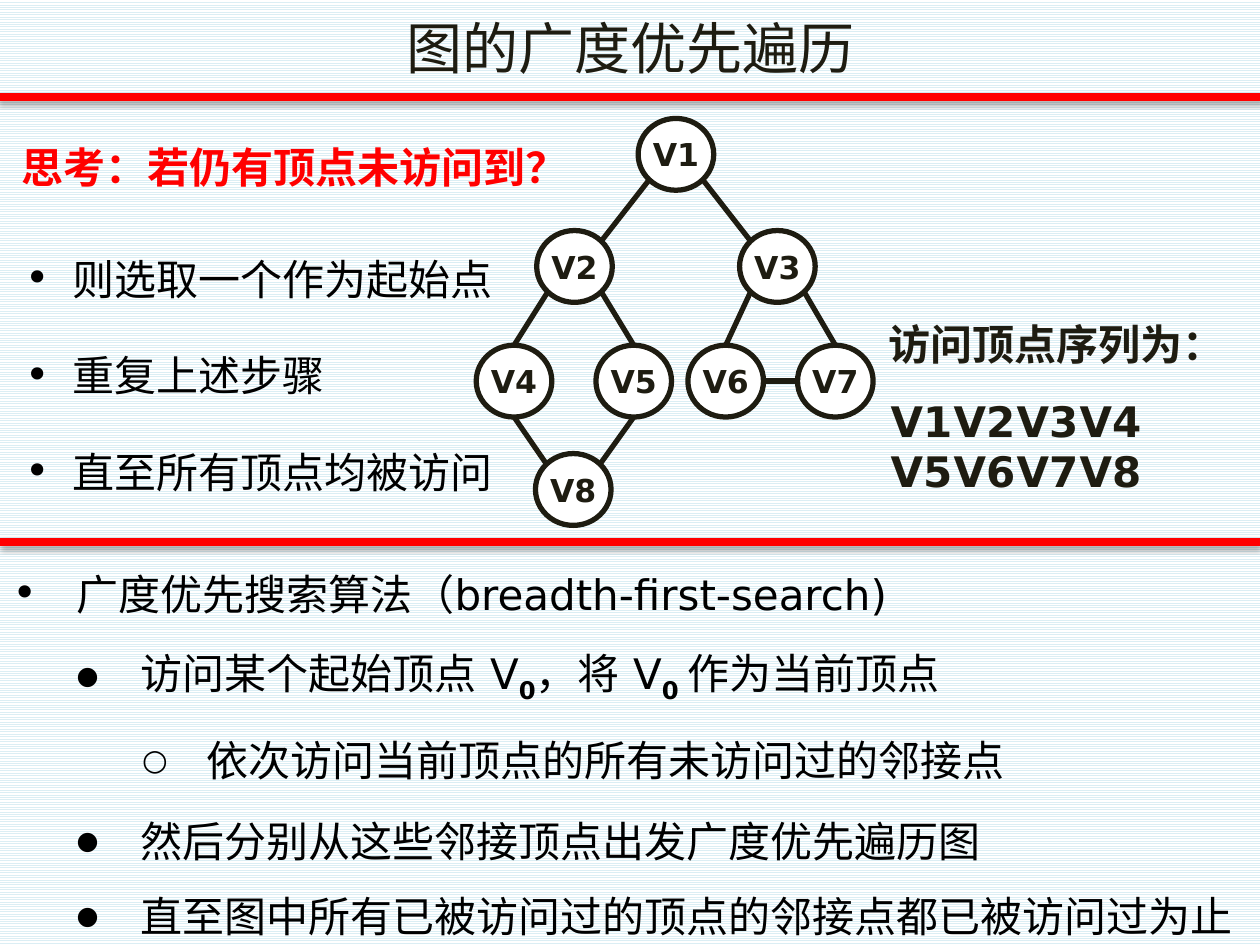
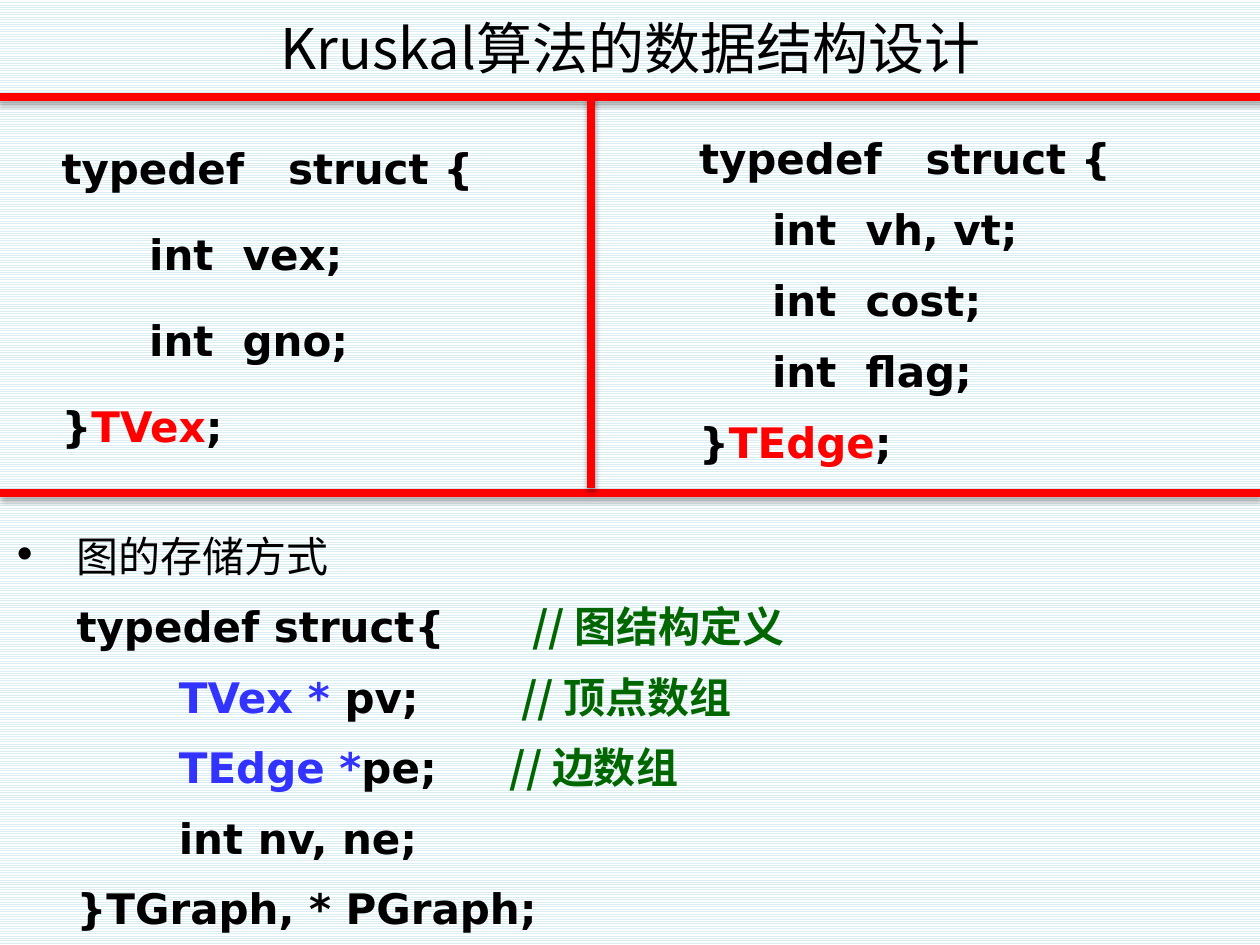
from lxml import etree
from pptx import Presentation
from pptx.dml.color import RGBColor
from pptx.enum import dml, shapes, text
from pptx.oxml import ns
from pptx.util import Emu, Inches, Pt

COLOURS = {
    "ink": "1E1C11", "black": "000000", "white": "FFFFFF", "red": "FF0000",
    "green": "006600", "blue": "3333FF", "stripe": "DBEEF4",
}
LATIN, HAN = "DejaVu Sans", "Noto Sans CJK SC"
COLUMNS, ROWS = 100, 75  # grid cells of a tenth of an inch


def rgb(name):
    return RGBColor.from_string(COLOURS[name])


def child(parent, tag, **attributes):
    return etree.SubElement(parent, ns.qn("a:" + tag), attributes)


def add_span(para, words, size=24, font=LATIN, colour="black", bold=False, baseline=None):
    """Add one run of formatted text to a paragraph."""
    span = para.add_run()
    span.text = words
    span.font.size, span.font.bold, span.font.name = Pt(size), bold, font
    span.font.color.rgb = rgb(colour)
    properties = span.font._element
    if baseline:
        properties.set("baseline", str(baseline * 1000))
    child(properties, "ea", typeface=font)
    child(properties, "cs", typeface=font)


def set_bullet(para, mark, percent, font=LATIN):
    properties = para._p.get_or_add_pPr()
    etree.SubElement(child(properties, "buClr"), ns.qn("a:srgbClr"), val=COLOURS["black"])
    child(properties, "buSzPct", val=str(percent * 1000))
    child(properties, "buFont", typeface=font)
    child(properties, "buChar", char=mark)


class Lecture:
    """Holds the shared style and the page being built."""

    def __init__(self):
        self.deck = Presentation()
        self.deck.slide_width, self.deck.slide_height = Inches(10), Inches(7.5)
        self.page = None

    def x(self, columns):
        return Emu(round(self.deck.slide_width * columns / COLUMNS))

    def y(self, rows):
        return Emu(round(self.deck.slide_height * rows / ROWS))

    def area(self, left, top, width, height):
        return self.x(left), self.y(top), self.x(width), self.y(height)

    def new_page(self, title, colour):
        self.page = self.deck.slides.add_slide(self.deck.slide_layouts[6])
        fill = self.page.background.fill
        fill.patterned()
        fill.pattern = dml.MSO_PATTERN.LIGHT_HORIZONTAL
        fill.fore_color.rgb, fill.back_color.rgb = rgb("stripe"), rgb("white")
        self.rule((-0.1, 7.7), (100.1, 7.7))
        box = self.text((0, 0.5, 100.1, 6.5), [title], size=32, font=HAN,
                        colour=colour, align="CENTER")
        box.text_frame.vertical_anchor = text.MSO_ANCHOR.MIDDLE

    def line(self, start, end, colour, width):
        connector = self.page.shapes.add_connector(
            shapes.MSO_CONNECTOR.STRAIGHT,
            self.x(start[0]), self.y(start[1]), self.x(end[0]), self.y(end[1]))
        connector.line.color.rgb, connector.line.width = rgb(colour), Pt(width)
        return child(connector._element.spPr, "effectLst")

    def rule(self, start, end):
        """Red divider with a soft shadow below it."""
        effects = self.line(start, end, "red", 4.5)
        shadow = child(effects, "outerShdw", blurRad=str(Pt(3.1)), dist=str(Pt(1.8)),
                       dir="5400000", rotWithShape="0")
        child(child(shadow, "srgbClr", val=COLOURS["black"]), "alpha", val="35000")

    def text(self, area, paragraphs, wrap=True, tabs=(), **style):
        box = self.page.shapes.add_textbox(*self.area(*area))
        box.text_frame.word_wrap = wrap
        for number, content in enumerate(paragraphs):
            self.paragraph(box.text_frame, number, content, tabs=tabs, **style)
        return box

    def paragraph(self, frame, number, content, align="LEFT", spacing=None, before=0,
                  left=0, hanging=0, bullet=None, percent=100, tabs=(), **style):
        """Write a string, or a list of strings and (string, format) pairs."""
        para = frame.add_paragraph() if number else frame.paragraphs[0]
        para.alignment = getattr(text.PP_ALIGN, align)
        if spacing:
            para.line_spacing = spacing
        if before and number:
            para.space_before = Pt(before)
        properties = para._p.get_or_add_pPr()
        properties.set("marL", str(self.x(left)))
        properties.set("indent", str(-self.x(hanging)))
        if bullet:
            set_bullet(para, bullet, percent)
        if tabs:
            stops = child(properties, "tabLst")
            for stop in tabs:
                child(stops, "tab", pos=str(self.x(stop)), algn="l")
        for piece in [content] if isinstance(content, str) else content:
            words, extra = (piece, {}) if isinstance(piece, str) else piece
            add_span(para, words, **{**style, **extra})

    def vertex(self, name, centre):
        oval = self.page.shapes.add_shape(
            shapes.MSO_SHAPE.OVAL,
            *self.area(centre[0] - 3, centre[1] - 2.85, 6, 5.7))
        oval.shadow.inherit = False
        oval.fill.solid()
        oval.fill.fore_color.rgb = rgb("white")
        oval.line.color.rgb, oval.line.width = rgb("ink"), Pt(3)
        frame = oval.text_frame
        frame.margin_left = frame.margin_right = frame.margin_top = frame.margin_bottom = 0
        frame.word_wrap = False
        frame.vertical_anchor = text.MSO_ANCHOR.MIDDLE
        self.paragraph(frame, 0, name, align="CENTER", size=18, colour="ink", bold=True)


# Vertex centres in grid cells, and edges between points on the ovals' rims
VERTICES = {
    "V1": (53.65, 12.25), "V2": (45.6, 21.15), "V3": (61.7, 21.15),
    "V4": (40.8, 30.25), "V5": (50.3, 30.25), "V6": (57.6, 30.25),
    "V7": (66.3, 30.25), "V8": (45.5, 38.85),
}
RIM = {
    "top": (0, -1), "bottom": (0, 1), "left": (-1, 0), "right": (1, 0),
    "top left": (-0.71, -0.71), "top right": (0.71, -0.71),
    "bottom left": (-0.71, 0.71), "bottom right": (0.71, 0.71),
}
EDGES = [
    ("V1", "bottom left", "V2", "top right"), ("V1", "bottom right", "V3", "top left"),
    ("V2", "bottom left", "V4", "top"), ("V2", "bottom right", "V5", "top"),
    ("V3", "bottom left", "V6", "top"), ("V3", "bottom right", "V7", "top"),
    ("V4", "bottom", "V8", "top left"), ("V5", "bottom", "V8", "top right"),
    ("V6", "right", "V7", "left"),
]


def rim_point(vertex, side):
    (column, row), (across, down) = VERTICES[vertex], RIM[side]
    return column + 3 * across, row + 2.85 * down


def build_traversal(lecture):
    lecture.new_page("图的广度优先遍历", "ink")

    # Visiting order
    lecture.text((69.5, 24.8, 28.7, 5), ["访问顶点序列为："], colour="ink", bold=True)
    lecture.text((69.7, 30.9, 29.9, 9.3), ["V1\tV2\tV3\tV4", "V5\tV6\tV7\tV8"],
                 tabs=[7.22 * step for step in (1, 2, 3)], colour="ink", bold=True)

    # Graph
    for name, centre in VERTICES.items():
        lecture.vertex(name, centre)
    for start, start_side, end, end_side in EDGES:
        lecture.line(rim_point(start, start_side), rim_point(end, end_side), "ink", 3)

    # Algorithm outline
    first = dict(left=5.1, bullet="•", spacing=1.4)
    second = dict(left=10.2, bullet="●", percent=60)
    third = dict(left=15.4, bullet="○", percent=70, spacing=1.6)
    zero = dict(bold=True, baseline=-25)
    outline = [
        ("广度优先搜索算法（breadth-first-search)", first),
        (["访问某个起始顶点 V", ("0", zero), "，将 V", ("0 ", zero), "作为当前顶点"],
         dict(second, spacing=1.5)),
        ("依次访问当前顶点的所有未访问过的邻接点", third),
        ("然后分别从这些邻接顶点出发广度优先遍历图", dict(second, spacing=1.6)),
        ("直至图中所有已被访问过的顶点的邻接点都已被访问过为止", dict(second, spacing=1.5)),
    ]
    box = lecture.text((0, 43, 100, 32.2), [])
    for number, (content, level) in enumerate(outline):
        lecture.paragraph(box.text_frame, number, content, hanging=5.1, **level)
    lecture.rule((0, 43), (100, 43))

    # Question and answer
    lecture.text((0.6, 10.7, 45.5, 5.1), ["思考：若仍有顶点未访问到？"], wrap=False,
                 align="CENTER", font=HAN, colour="red", bold=True)
    lecture.text((1, 17.6, 50, 24.1),
                 ["则选取一个作为起始点", "重复上述步骤", "直至所有顶点均被访问"],
                 left=3.8, hanging=3.8, bullet="•", spacing=1.5, before=12)


def build_kruskal(lecture):
    lecture.new_page("Kruskal算法的数据结构设计", "black")
    red, blue = dict(colour="red"), dict(colour="blue")
    comment = dict(font=HAN, colour="green")

    # Graph structure
    graph = [
        ["typedef struct{      ", ("// 图结构定义", comment)],
        ["       ", ("TVex * ", blue), "pv;       ", ("// 顶点数组", comment)],
        ["       ", ("TEdge *", blue), "pe;     ", ("// 边数组", comment)],
        "       int nv, ne;",
        "}TGraph, * PGraph;",
    ]
    line_height = Pt(40.3)
    box = lecture.text((0, 40, 100, 35), ["图的存储方式"], font=HAN, left=5.1,
                       hanging=5.1, bullet="•", spacing=line_height)
    for number, code in enumerate(graph, 1):
        lecture.paragraph(box.text_frame, number, code, left=5.1,
                          spacing=line_height, bold=True)

    # Vertex and edge structures
    lecture.text((3.9, 8.8, 37.4, 27.7),
                 ["typedef   struct {", "      int  vex;", "      int  gno;",
                  ["}", ("TVex", red), ";"]],
                 spacing=1.5, before=6, bold=True)
    lecture.rule((0, 39.1), (100, 39.1))
    lecture.rule((46.9, 7.6), (46.9, 38.7))
    lecture.text((54.5, 9.2, 42, 28.7),
                 ["typedef   struct {", "     int  vh, vt;", "     int  cost;",
                  "     int  flag;", ["}", ("TEdge", red), ";"]],
                 spacing=1.2, before=6, bold=True)


def main():
    lecture = Lecture()
    build_traversal(lecture)
    build_kruskal(lecture)
    lecture.deck.save("out.pptx")


if __name__ == "__main__":
    main()
